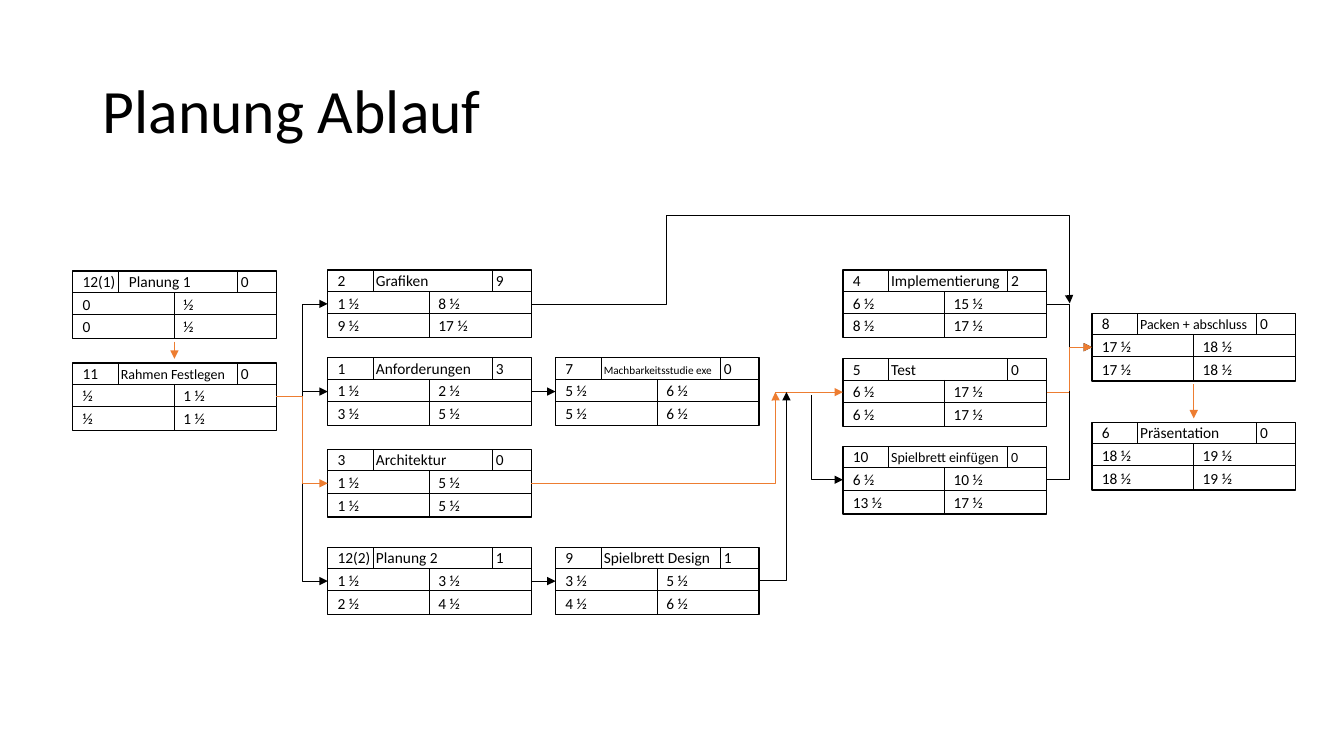
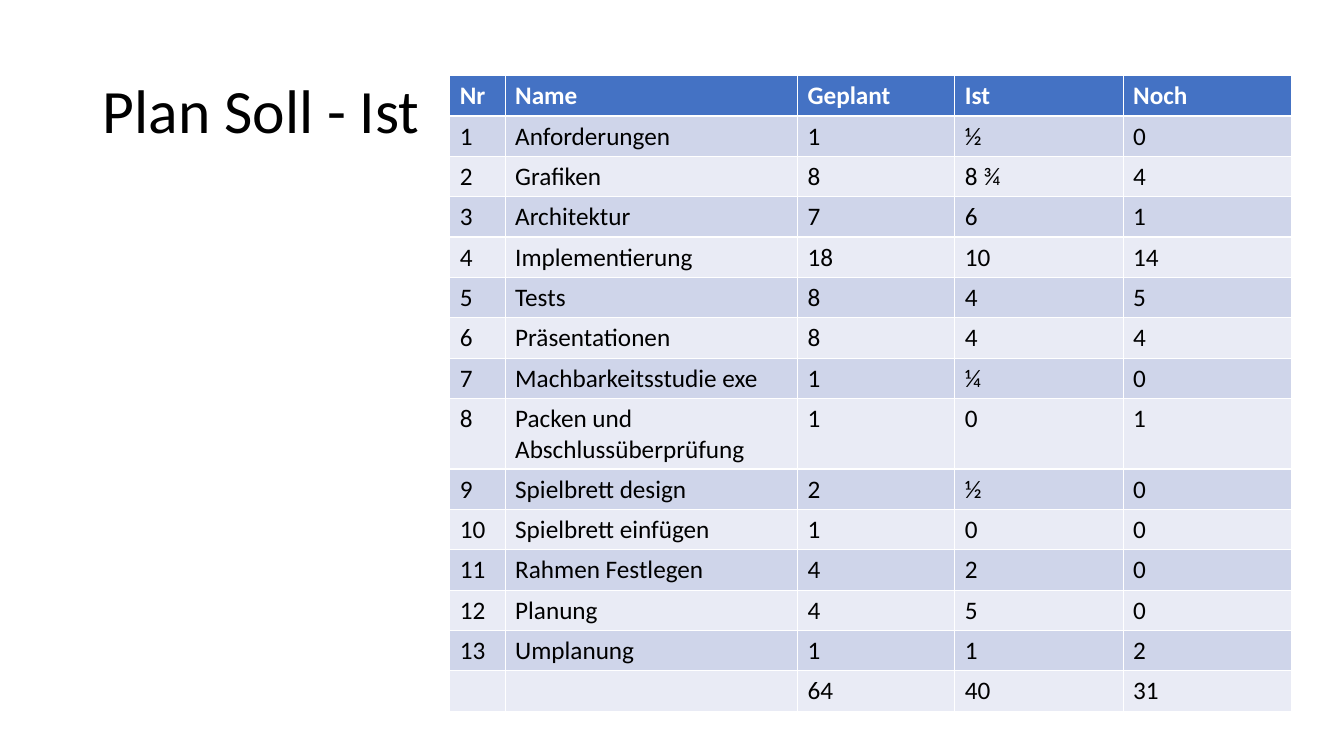
from lxml import etree
from pptx import Presentation
from pptx.dml.color import RGBColor
from pptx.enum.shapes import MSO_CONNECTOR, MSO_SHAPE
from pptx.enum.text import MSO_ANCHOR, PP_ALIGN
from pptx.oxml.ns import qn
from pptx.util import Inches, Pt

STRAIGHT, ELBOW = MSO_CONNECTOR.STRAIGHT, MSO_CONNECTOR.ELBOW
RECTANGLE = MSO_SHAPE.RECTANGLE
TOP, MIDDLE = MSO_ANCHOR.TOP, MSO_ANCHOR.MIDDLE
LEFT = PP_ALIGN.LEFT
LEFT_SITE, RIGHT_SITE = 1, 3

FONT = "Calibri"
COLORS = {
    "text": "000000",
    "line": "000000",
    "critical": "ED7D31",
    "white": "FFFFFF",
    "header": "4472C4",
    "band_dark": "CFD5EA",
    "band_light": "E9EBF5",
}

# Geometry of one activity box, measured from its top left corner
BOX_WIDTH, BOX_HEIGHT = 2.02, 0.67
HEADER_HEIGHT, SECOND_RULE = 0.21, 0.43
NAME_RULE, BUFFER_RULE = 0.45, 1.63
TEXT_INSET = 0.1
NAME_TAB, BUFFER_TAB, VALUE_TAB = 0.38, 1.57, 1.0

# Activity: left, top, header (number, name, buffer), earliest, latest
ACTIVITIES = [
    (0.72, 2.69, ("12(1)", "Planung 1", "0"), ("0", "½"), ("0", "½")),
    (0.72, 3.6, ("11", "Rahmen Festlegen", "0"), ("½", "1 ½"), ("½", "1 ½")),
    (3.25, 2.68, ("2", "Grafiken", "9"), ("1 ½", "8 ½"), ("9 ½", "17 ½")),
    (3.25, 3.55, ("1", "Anforderungen", "3"), ("1 ½", "2 ½"), ("3 ½", "5 ½")),
    (3.25, 4.46, ("3", "Architektur", "0"), ("1 ½", "5 ½"), ("1 ½", "5 ½")),
    (3.25, 5.43, ("12(2)", "Planung 2", "1"), ("1 ½", "3 ½"), ("2 ½", "4 ½")),
    (5.51, 5.43, ("9", "Spielbrett Design", "1"), ("3 ½", "5 ½"), ("4 ½", "6 ½")),
    (5.51, 3.55, ("7", "Machbarkeitsstudie exe", "0"), ("5 ½", "6 ½"), ("5 ½", "6 ½")),
    (8.36, 3.56, ("5", "Test", "0"), ("6 ½", "17 ½"), ("6 ½", "17 ½")),
    (8.36, 4.43, ("10", "Spielbrett einfügen", "0"), ("6 ½", "10 ½"), ("13 ½", "17 ½")),
    (8.36, 2.68, ("4", "Implementierung", "2"), ("6 ½", "15 ½"), ("8 ½", "17 ½")),
    (10.83, 3.11, ("8", "Packen + abschluss", "0"), ("17 ½", "18 ½"), ("17 ½", "18 ½")),
    (10.83, 4.19, ("6", "Präsentation", "0"), ("18 ½", "19 ½"), ("18 ½", "19 ½")),
]
# Sizes of number, name and buffer where a long name needs smaller type
HEADER_SIZES = {
    "11": (11, 10, 11),
    "7": (11, 8, 11),
    "10": (11, 10, 10),
    "8": (11, 10, 11),
}
NAME_TABS = {"12(1)": 0.46}

# Links from the right side of one activity to the left side of the next
LINKS = [
    ("11", "2", ELBOW, "line"),
    ("11", "1", ELBOW, "line"),
    ("11", "12(2)", ELBOW, "line"),
    ("1", "7", STRAIGHT, "line"),
    ("12(2)", "9", STRAIGHT, "line"),
    ("4", "8", ELBOW, "line"),
    ("5", "8", ELBOW, "critical"),
    ("11", "3", ELBOW, "critical"),
]

PLAN_COLUMNS = [0.55, 2.9, 1.56, 1.67, 1.67]
PLAN_ROWS = [
    ("Nr", "Name", "Geplant", "Ist", "Noch"),
    ("1", "Anforderungen", "1", "½", "0"),
    ("2", "Grafiken", "8", "8 ¾", "4"),
    ("3", "Architektur", "7", "6", "1"),
    ("4", "Implementierung", "18", "10", "14"),
    ("5", "Tests", "8", "4", "5"),
    ("6", "Präsentationen", "8", "4", "4"),
    ("7", "Machbarkeitsstudie exe", "1", "¼", "0"),
    ("8", "Packen und Abschlussüberprüfung", "1", "0", "1"),
    ("9", "Spielbrett design", "2", "½", "0"),
    ("10", "Spielbrett einfügen", "1", "0", "0"),
    ("11", "Rahmen Festlegen", "4", "2", "0"),
    ("12", "Planung", "4", "5", "0"),
    ("13", "Umplanung", "1", "1", "2"),
    ("", "", "64", "40", "31"),
]
ROW_HEIGHT, TALL_ROW_HEIGHT, TALL_ROW = 0.36, 0.62, 8


def rgb(name):
    return RGBColor.from_string(COLORS[name])


def format_font(font, size, color="text", bold=False):
    font.name = FONT
    font.size = Pt(size)
    font.bold = bold
    font.color.rgb = rgb(color)


def add_titled_slide(presentation, title):
    slide = presentation.slides.add_slide(presentation.slide_layouts[6])
    box = slide.shapes.add_textbox(Inches(0.92), Inches(0.4), Inches(11.5), Inches(1.45))
    frame = box.text_frame
    frame.word_wrap = True
    frame.vertical_anchor = MIDDLE
    frame.text = title
    paragraph = frame.paragraphs[0]
    paragraph.line_spacing = 0.9
    format_font(paragraph.runs[0].font, 44)
    return slide


def add_line(slide, start, end, color="line", kind=STRAIGHT, arrow=None, bend=None, corner=False):
    """Draw a connector; arrow is headEnd or tailEnd, bend the share of the width."""
    points = [Inches(value) for value in (*start, *end)]
    connector = slide.shapes.add_connector(kind, *points)
    connector.line.color.rgb = rgb(color)
    connector.line.width = Pt(0.5)
    properties = connector.element.spPr
    if arrow:
        etree.SubElement(properties.find(qn("a:ln")), qn("a:" + arrow), type="triangle")
    geometry = properties.find(qn("a:prstGeom"))
    if corner:
        geometry.set("prst", "bentConnector2")
    if bend is not None:
        adjustments = geometry.find(qn("a:avLst"))
        formula = f"val {round(bend * 100000)}"
        etree.SubElement(adjustments, qn("a:gd"), name="adj1", fmla=formula)
    etree.SubElement(properties, qn("a:effectLst"))
    return connector


def write_row(paragraph, texts, tabs, sizes):
    """Write texts in columns that start at the tab stops."""
    paragraph.alignment = LEFT
    paragraph.space_after = Pt(3)
    stops = etree.SubElement(paragraph._p.get_or_add_pPr(), qn("a:tabLst"))
    for tab in tabs:
        etree.SubElement(stops, qn("a:tab"), pos=str(Inches(tab)), algn="l")
    for index, (text, size) in enumerate(zip(texts, sizes)):
        run = paragraph.add_run()
        run.text = "\t" + text if index else text
        format_font(run.font, size)


def add_activity(slide, left, top, header, earliest, latest):
    box = slide.shapes.add_shape(
        RECTANGLE, Inches(left), Inches(top), Inches(BOX_WIDTH), Inches(BOX_HEIGHT))
    box.shadow.inherit = False
    box.fill.solid()
    box.fill.fore_color.rgb = rgb("white")
    box.line.color.rgb = rgb("line")
    box.line.width = Pt(1)

    # Three rows of text
    frame = box.text_frame
    frame.word_wrap = True
    frame.vertical_anchor = TOP
    frame.margin_left = frame.margin_right = Inches(TEXT_INSET)
    frame.margin_top = Inches(0.01)
    frame.margin_bottom = 0
    number = header[0]
    name_tab = NAME_TABS.get(number, NAME_TAB)
    sizes = HEADER_SIZES.get(number, (11, 11, 11))
    write_row(frame.paragraphs[0], header, (name_tab, BUFFER_TAB), sizes)
    for values in (earliest, latest):
        write_row(frame.add_paragraph(), values, (VALUE_TAB,), (11, 11))

    # Inner rules
    middle = BOX_WIDTH / 2
    for x1, y1, x2, y2 in (
        (0, HEADER_HEIGHT, BOX_WIDTH, HEADER_HEIGHT),
        (0, SECOND_RULE, BOX_WIDTH, SECOND_RULE),
        (middle, HEADER_HEIGHT, middle, BOX_HEIGHT),
        (NAME_RULE, 0, NAME_RULE, HEADER_HEIGHT),
        (BUFFER_RULE, 0, BUFFER_RULE, HEADER_HEIGHT),
    ):
        add_line(slide, (left + x1, top + y1), (left + x2, top + y2))
    return box


def link_activities(slide, source, target, kind, color):
    connector = add_line(slide, (0, 0), (1, 1), color, kind, "tailEnd")
    connector.begin_connect(source, RIGHT_SITE)
    connector.end_connect(target, LEFT_SITE)


def add_plan_table(slide):
    frame = slide.shapes.add_table(
        len(PLAN_ROWS), len(PLAN_COLUMNS),
        Inches(4.46), Inches(0.75), Inches(sum(PLAN_COLUMNS)), Inches(6.3))
    table = frame.table
    for column, width in zip(table.columns, PLAN_COLUMNS):
        column.width = Inches(width)
    for index, texts in enumerate(PLAN_ROWS):
        height = TALL_ROW_HEIGHT if index == TALL_ROW else ROW_HEIGHT
        table.rows[index].height = Inches(height)
        is_header = index == 0
        band = "header" if is_header else "band_dark" if index % 2 else "band_light"
        for column, text in enumerate(texts):
            cell = table.cell(index, column)
            cell.fill.solid()
            cell.fill.fore_color.rgb = rgb(band)
            cell.text_frame.text = text
            color = "white" if is_header else "text"
            format_font(cell.text_frame.paragraphs[0].font, 18, color, is_header)
            for run in cell.text_frame.paragraphs[0].runs:
                format_font(run.font, 18, color, is_header)


def build_network_slide(presentation):
    slide = add_titled_slide(presentation, "Planung Ablauf")
    boxes = {activity[2][0]: add_activity(slide, *activity) for activity in ACTIVITIES}
    for source, target, kind, color in LINKS:
        link_activities(slide, boxes[source], boxes[target], kind, color)

    # Critical path between stacked boxes and into the test
    add_line(slide, (1.73, 3.39), (1.73, 3.56), "critical", arrow="tailEnd")
    add_line(slide, (11.84, 3.81), (11.84, 4.15), "critical", arrow="tailEnd")
    add_line(slide, (5.27, 4.8), (7.69, 3.89), "critical", ELBOW, "tailEnd", bend=1.001)
    add_line(slide, (7.69, 3.89), (8.36, 3.89), "critical", arrow="tailEnd")

    # Links that join another line at a corner
    add_line(slide, (7.53, 5.76), (7.8, 3.89), kind=ELBOW, arrow="tailEnd", corner=True)
    add_line(slide, (8.36, 4.76), (8.05, 3.92), kind=ELBOW, arrow="headEnd", corner=True)
    add_line(slide, (10.38, 4.76), (10.61, 3.88), kind=ELBOW, corner=True)

    # Detour of the graphics above the implementation
    add_line(slide, (5.27, 3.02), (7.94, 2.14), kind=ELBOW)
    add_line(slide, (7.76, 2.14), (10.61, 3.01), kind=ELBOW, arrow="tailEnd", bend=0.998)


def build_plan_slide(presentation):
    slide = add_titled_slide(presentation, "Plan Soll - Ist")
    add_plan_table(slide)


def main():
    presentation = Presentation()
    presentation.slide_width = Inches(13.33)
    presentation.slide_height = Inches(7.5)
    build_network_slide(presentation)
    build_plan_slide(presentation)
    presentation.save("out.pptx")


if __name__ == "__main__":
    main()
